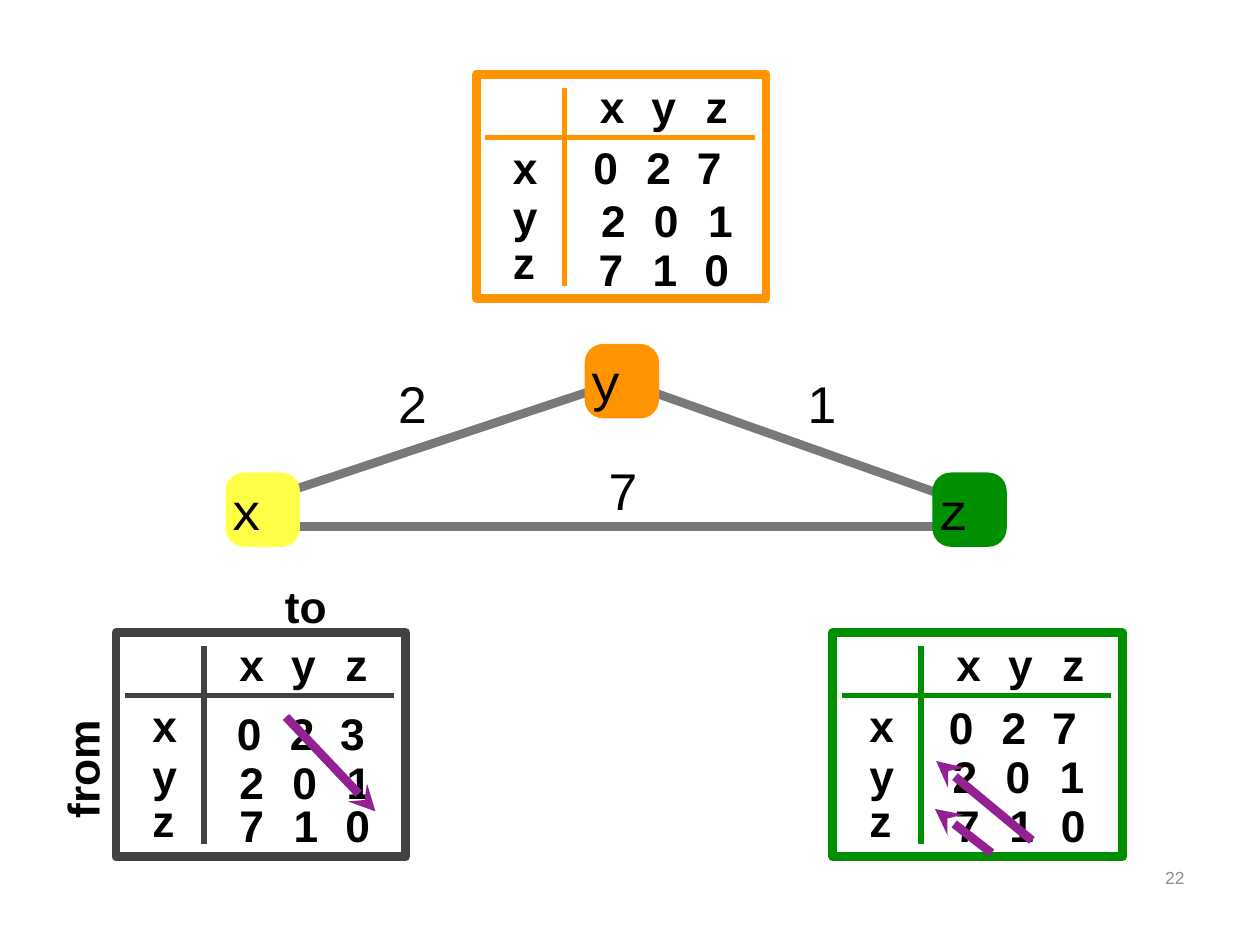
from lxml import etree
from pptx import Presentation
from pptx.dml.color import RGBColor
from pptx.enum.shapes import MSO_CONNECTOR as Connector, MSO_SHAPE as Shape
from pptx.enum.text import MSO_ANCHOR as Anchor, PP_ALIGN as Align
from pptx.oxml.ns import qn
from pptx.util import Inches, Pt

BLACK = RGBColor(0x00, 0x00, 0x00)
WHITE = RGBColor(0xFF, 0xFF, 0xFF)
GRAY = RGBColor(0x79, 0x79, 0x79)
DARK_GRAY = RGBColor(0x42, 0x42, 0x42)
PAGE_GRAY = RGBColor(0x91, 0x91, 0x91)
YELLOW = RGBColor(0xFF, 0xFF, 0x47)
ORANGE = RGBColor(0xFF, 0x93, 0x00)
GREEN = RGBColor(0x00, 0x8F, 0x00)
PURPLE = RGBColor(0x94, 0x21, 0x93)

TABLE_SIZE = 25.3
GRAPH_SIZE = 29.5
NODE_SIDE = 0.59
NODES = "xyz"

# Distance table layout, relative to its frame
FRAME_WIDTH, FRAME_HEIGHT = 2.3, 1.78
HEADER_LEFTS = (0.94, 1.35, 1.78)
LABEL_TOPS = (0.48, 0.87, 1.23)
DIGIT_STEPS = ((0, 0.42, 0.82), (0, 0.42, 0.85), (0, 0.43, 0.84))
DIGIT_WIDTHS = ((0.29, 0.29, 0.29), (0.19, 0.19, 0.15), (0.19, 0.19, 0.21))


def write(shape, text, size, color=BLACK, bold=False, font="Arial",
          inset=0.04, anchor=Anchor.MIDDLE, align=Align.LEFT):
    frame = shape.text_frame
    frame.word_wrap = True
    frame.vertical_anchor = anchor
    frame.margin_left = frame.margin_right = Inches(inset)
    frame.margin_top = frame.margin_bottom = Inches(inset)
    paragraph = frame.paragraphs[0]
    paragraph.alignment = align
    run = paragraph.add_run()
    run.text = text
    run.font.name = font
    run.font.size = Pt(size)
    run.font.bold = bold
    run.font.color.rgb = color


def add_text(slide, text, left, top, width, height, size=TABLE_SIZE, bold=True):
    box = slide.shapes.add_textbox(Inches(left), Inches(top), Inches(width), Inches(height))
    write(box, text, size, bold=bold)
    return box


def add_line(slide, start, end, color, weight, arrow=False):
    line = slide.shapes.add_connector(
        Connector.STRAIGHT, *(Inches(value) for value in (*start, *end)))
    line.line.color.rgb = color
    line.line.width = Pt(weight)
    if arrow:
        etree.SubElement(line.line._get_or_add_ln(), qn("a:headEnd"), type="stealth")
    etree.SubElement(line._element.spPr, qn("a:effectLst"))


def add_distance_table(slide, left, top, color, rows):
    """Each row holds its digits, and the left and top of the first one."""
    frame = slide.shapes.add_shape(
        Shape.RECTANGLE, Inches(left), Inches(top), Inches(FRAME_WIDTH), Inches(FRAME_HEIGHT))
    frame.shadow.inherit = False
    frame.fill.background()
    frame.line.color.rgb = color
    frame.line.width = Pt(5)

    # Rules
    add_line(slide, (left + 0.07, top + 0.5), (left + 2.21, top + 0.5), color, 3)
    add_line(slide, (left + 0.7, top + 1.68), (left + 0.7, top + 0.11), color, 3)

    # Column and row labels
    for name, header_left, label_top in zip(NODES, HEADER_LEFTS, LABEL_TOPS):
        add_text(slide, name, left + header_left, top + 0.02, 0.29, 0.46)
        add_text(slide, name, left + 0.25, top + label_top, 0.26, 0.51)

    # Distances
    for (digits, row_left, row_top), steps, widths in zip(rows, DIGIT_STEPS, DIGIT_WIDTHS):
        for digit, step, width in zip(digits, steps, widths):
            add_text(slide, digit, left + row_left + step, top + row_top, width, 0.51)


def add_node(slide, name, left, top, color):
    node = slide.shapes.add_shape(
        Shape.ROUNDED_RECTANGLE, Inches(left), Inches(top), Inches(NODE_SIDE), Inches(NODE_SIDE))
    node.adjustments[0] = 0.25
    node.shadow.inherit = False
    node.fill.solid()
    node.fill.fore_color.rgb = color
    node.line.fill.background()
    write(node, name, GRAPH_SIZE, font="Courier New", inset=0)


def add_graph(slide, left, top):
    # Edges and their costs
    for start, end, cost, cost_left, cost_top in (
        ((2.97, 0.35), (0.44, 1.19), "2", 1.33, 0.18),
        ((0.51, 1.45), (5.84, 1.45), "7", 3.0, 0.87),
        ((3.3, 0.35), (5.84, 1.25), "1", 4.58, 0.18),
    ):
        add_line(slide, (left + start[0], top + start[1]),
                 (left + end[0], top + end[1]), GRAY, 5)
        add_text(slide, cost, left + cost_left, top + cost_top, 0.29, 0.58, GRAPH_SIZE, False)

    # Nodes
    add_node(slide, "x", left, top + 1.02, YELLOW)
    add_node(slide, "z", left + 5.61, top + 1.02, GREEN)
    add_node(slide, "y", left + 2.85, top, ORANGE)


def add_page_number(slide, left, top, width, height):
    box = slide.shapes.add_textbox(Inches(left), Inches(top), Inches(width), Inches(height))
    write(box, "22", 10, PAGE_GRAY, inset=0.1, anchor=Anchor.TOP, align=Align.RIGHT)
    box.text_frame.margin_top = box.text_frame.margin_bottom = Inches(0.05)


def main():
    presentation = Presentation()
    presentation.slide_width, presentation.slide_height = Inches(10), Inches(7.5)
    slide = presentation.slides.add_slide(presentation.slide_layouts[6])
    slide.background.fill.solid()
    slide.background.fill.fore_color.rgb = WHITE

    add_graph(slide, 1.79, 2.73)

    # Distance tables of y, x and z
    add_distance_table(slide, 3.78, 0.59, ORANGE, (
        ("027", 0.89, 0.48), ("201", 0.95, 0.9), ("710", 0.93, 1.29)))
    add_distance_table(slide, 0.92, 5.02, DARK_GRAY, (
        ("023", 0.92, 0.54), ("201", 0.94, 0.93), ("710", 0.94, 1.27)))
    add_distance_table(slide, 6.61, 5.02, GREEN, (
        ("027", 0.88, 0.49), ("201", 0.91, 0.88), ("710", 0.93, 1.27)))

    # Axis names of the table of x
    add_text(slide, "to", 2.22, 4.55, 0.51, 0.51)
    add_text(slide, "from", 0.09, 5.72, 1.12, 0.51).rotation = 270

    # Arrows, with the head at the first point
    for tip, tail in (
        ((2.98, 6.44), (2.27, 5.69)),
        ((7.42, 6.42), (7.87, 6.77)),
        ((7.43, 6.04), (8.19, 6.67)),
    ):
        add_line(slide, tip, tail, PURPLE, 5, arrow=True)

    add_page_number(slide, 7.17, 6.83, 2.33, 0.5)
    presentation.save("out.pptx")


if __name__ == "__main__":
    main()
